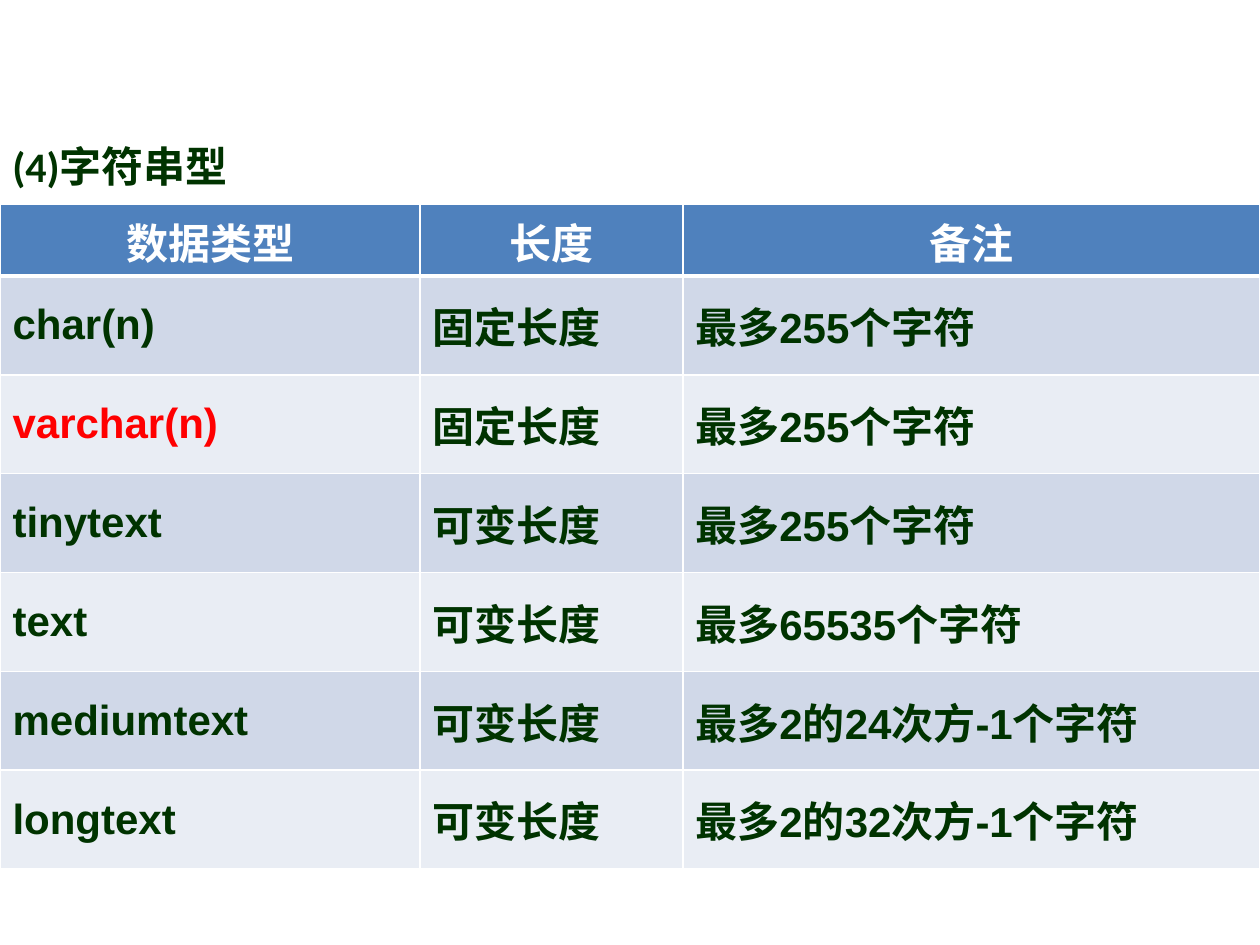
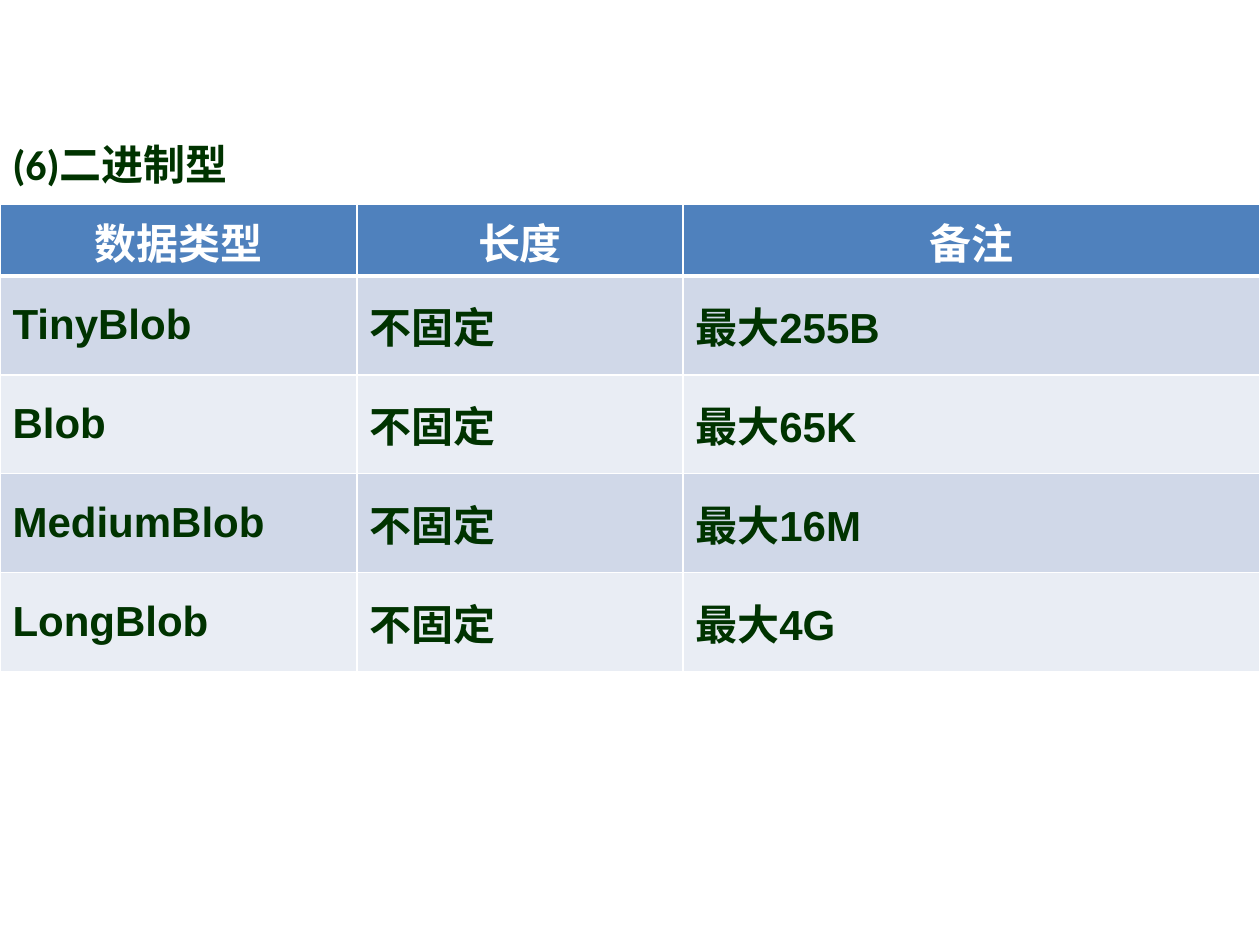
from pptx import Presentation
from pptx.dml.color import RGBColor
from pptx.enum.text import MSO_ANCHOR, MSO_AUTO_SIZE, PP_ALIGN
from pptx.oxml import parse_xml
from pptx.oxml.ns import nsdecls
from pptx.util import Emu, Pt

MIDDLE = MSO_ANCHOR.MIDDLE
GROW = MSO_AUTO_SIZE.SHAPE_TO_FIT_TEXT
LEFT, CENTER = PP_ALIGN.LEFT, PP_ALIGN.CENTER

EMU_PER_PX = 914400 // 200
PAGE_WIDTH, PAGE_HEIGHT = 2000, 1500
TITLE_HEIGHT = 100
TABLE_TOP, HEADER_HEIGHT, ROW_HEIGHT = 324, 114, 157

WHITE, GREEN, RED, BLUE = "FFFFFF", "003300", "FF0000", "4F81BD"
BANDS = ["D0D8E8", "E9EDF4"]
TITLE_FONT, TABLE_FONT, TEXT_SIZE = "Calibri", "Arial", 24

HEADINGS = ["数据类型", "长度", "备注"]
STRING_TYPES = [
    ["char(n)", "固定长度", "最多255个字符"],
    ["varchar(n)", "固定长度", "最多255个字符"],
    ["tinytext", "可变长度", "最多255个字符"],
    ["text", "可变长度", "最多65535个字符"],
    ["mediumtext", "可变长度", "最多2的24次方-1个字符"],
    ["longtext", "可变长度", "最多2的32次方-1个字符"],
]
BINARY_TYPES = [
    ["TinyBlob", "不固定", "最大255B"],
    ["Blob", "不固定", "最大65K"],
    ["MediumBlob", "不固定", "最大16M"],
    ["LongBlob", "不固定", "最大4G"],
]


def px(length):
    return Emu(length * EMU_PER_PX)


def color(hex_string):
    return RGBColor.from_string(hex_string)


class TypeDeck:
    """Holds the shared style and the current page."""

    def __init__(self):
        self.deck = Presentation()
        self.deck.slide_width = px(PAGE_WIDTH)
        self.deck.slide_height = px(PAGE_HEIGHT)
        self.page = None

    def add_page(self):
        self.page = self.deck.slides.add_slide(self.deck.slide_layouts[6])
        background = self.page.background.fill
        background.solid()
        background.fore_color.rgb = color(WHITE)

    def add_text(self, frame, text, font, ink, align=LEFT):
        para = frame.paragraphs[0]
        para.alignment = align
        span = para.add_run()
        span.text = text
        span.font.name = font
        span.font.size = Pt(TEXT_SIZE)
        span.font.bold = True
        span.font.color.rgb = color(ink)

    def add_title(self, text, top):
        box = self.page.shapes.add_textbox(0, px(top), px(PAGE_WIDTH), px(TITLE_HEIGHT))
        box.text_frame.word_wrap = True
        box.text_frame.auto_size = GROW
        self.add_text(box.text_frame, text, TITLE_FONT, GREEN)

    def add_borders(self, cell, top_width, bottom_width):
        properties = cell._tc.get_or_add_tcPr()
        widths = {"lnL": 1, "lnR": 1, "lnT": top_width, "lnB": bottom_width}
        for side, width in widths.items():
            properties.append(parse_xml(
                f'<a:{side} {nsdecls("a")} w="{Pt(width)}"><a:solidFill>'
                f'<a:srgbClr val="{WHITE}"/></a:solidFill></a:{side}>'))

    def add_table(self, widths, rows, highlight=None):
        height = HEADER_HEIGHT + ROW_HEIGHT * len(rows)
        table = self.page.shapes.add_table(
            len(rows) + 1, len(widths), 0, px(TABLE_TOP), px(PAGE_WIDTH), px(height)).table
        for column, width in zip(table.columns, widths):
            column.width = px(width)
        for index, texts in enumerate([HEADINGS] + rows):
            header = index == 0
            table.rows[index].height = px(HEADER_HEIGHT if header else ROW_HEIGHT)
            for cell, text in zip(table.rows[index].cells, texts):
                self.add_borders(cell, 3 if index == 1 else 1, 3 if header else 1)
                cell.fill.solid()
                cell.fill.fore_color.rgb = color(BLUE if header else BANDS[(index - 1) % 2])
                cell.vertical_anchor = MIDDLE
                ink = WHITE if header else RED if text == highlight else GREEN
                self.add_text(cell.text_frame, text, TABLE_FONT, ink, CENTER if header else LEFT)


def main():
    types = TypeDeck()

    types.add_page()
    types.add_title("(4)字符串型", 214)
    types.add_table([667, 417, 916], STRING_TYPES, highlight="varchar(n)")

    types.add_page()
    types.add_title("(6)二进制型", 210)
    types.add_table([567, 517, 916], BINARY_TYPES)

    types.deck.save("out.pptx")


if __name__ == "__main__":
    main()
